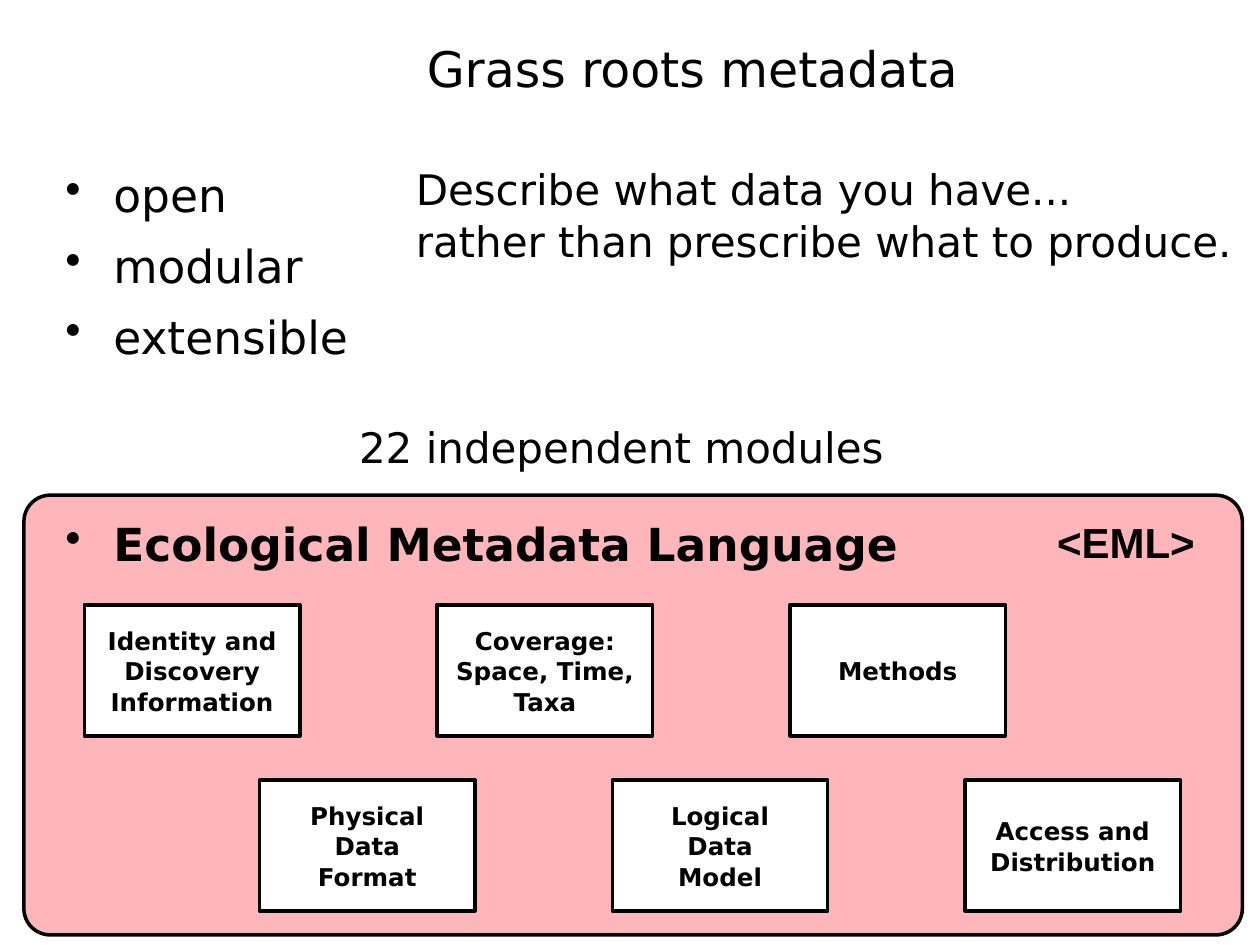
from lxml import etree
from pptx import Presentation, util as u
from pptx.dml.color import RGBColor
from pptx.enum import shapes, text
from pptx.oxml.ns import qn

SANS = "DejaVu Sans"
PINK, WHITE, BLACK = "FF5663", "FFFFFF", "000000"


def paint(color, code):
    """Set a fill or font colour from a hex string."""
    color.rgb = RGBColor.from_string(code)


def write(shape, lines, size, insets, font=SANS, bold=False, align="LEFT",
          anchor="TOP", bullet=False):
    """Fill a shape with one paragraph per line; insets run left, top, right, bottom."""
    frame = shape.text_frame
    frame.word_wrap = True
    frame.vertical_anchor = getattr(text.MSO_ANCHOR, anchor)
    for side, inset in zip(("left", "top", "right", "bottom"), insets):
        setattr(frame, f"margin_{side}", u.Inches(inset))
    frame.text = "\n".join(lines)
    for par in frame.paragraphs:
        if bullet:
            props = par._p.get_or_add_pPr()
            props.set("marL", str(u.Inches(0.42)))
            props.set("indent", str(u.Inches(-0.38)))
            etree.SubElement(props, qn("a:buChar")).set("char", "•")
        par.alignment = getattr(text.PP_ALIGN, align)
        par.line_spacing = 1.04 if font == SANS else 1
        par.font.name = font
        par.font.size = u.Pt(size)
        par.font.bold = bold
        paint(par.font.color, BLACK)
    return frame


prs = Presentation()
prs.slide_width, prs.slide_height = u.Inches(10), u.Inches(7.5)
items = prs.slides.add_slide(prs.slide_layouts[6]).shapes

# Pink panel
panel = items.add_shape(shapes.MSO_SHAPE.ROUNDED_RECTANGLE, u.Inches(0.19),
                        u.Inches(3.93), u.Inches(9.67), u.Inches(3.49))
panel.adjustments[0] = 0.06
panel.shadow.inherit = False
panel.fill.solid()
paint(panel.fill.fore_color, PINK)
tint = panel.fill._xPr.find(".//" + qn("a:srgbClr"))
etree.SubElement(tint, qn("a:alpha")).set("val", "43000")
paint(panel.line.color, BLACK)
panel.line.width = u.Pt(2)

# Module boxes: two staggered rows of three
rows = [
    (0.67, 4.8, [["Identity and", "Discovery Information"],
                 ["Coverage:", "Space, Time, Taxa"],
                 ["Methods"]]),
    (2.06, 6.19, [["Physical", "Data", "Format"],
                  ["Logical", "Data", "Model"],
                  ["Access and Distribution"]]),
]
for left, top, names in rows:
    for col, lines in enumerate(names):
        box = items.add_shape(shapes.MSO_SHAPE.RECTANGLE, u.Inches(left + 2.8 * col),
                              u.Inches(top), u.Inches(1.71), u.Inches(1.04))
        box.shadow.inherit = False
        box.fill.solid()
        paint(box.fill.fore_color, WHITE)
        paint(box.line.color, BLACK)
        box.line.width = u.Pt(2)
        write(box, lines, 14, [0.04] * 4, bold=True, align="CENTER", anchor="MIDDLE")

# Labels
tag = items.add_textbox(u.Inches(8.35), u.Inches(4.1), u.Inches(1.26), u.Inches(0.49))
write(tag, ["<EML>"], 24, (0.04, 0, 0.04, 0), font="Arial", bold=True).word_wrap = False

count = items.add_textbox(u.Inches(2.81), u.Inches(3.33), u.Inches(4.44), u.Inches(0.51))
write(count, ["22 independent modules"], 24, (0.04, 0, 0.04, 0))

# Bullets, the last one inside the panel
body = items.add_textbox(u.Inches(0.42), u.Inches(1.25), u.Inches(9.17), u.Inches(6.17))
points = ["open", "modular", "extensible", "Ecological Metadata Language"]
pars = write(body, points, 26, (0.06, 0.06, 0.14, 0.06), bullet=True).paragraphs
for par, gap in zip(pars[1:], (8, 8, 86)):
    par.space_before = u.Pt(gap)
pars[-1].font.bold = True

# Title and motto
title = items.add_textbox(u.Inches(1.33), 0, u.Inches(8.37), u.Inches(1.06))
write(title, ["Grass roots metadata"], 28, (0.1, 0.06, 0.14, 0.06),
      align="CENTER", anchor="MIDDLE")

motto = items.add_textbox(u.Inches(3.26), u.Inches(1.28), u.Inches(6.74), u.Inches(0.92))
write(motto, ["Describe what data you have...", "rather than prescribe what to produce."],
      24, (0.04, 0, 0.04, 0))

prs.save("out.pptx")
